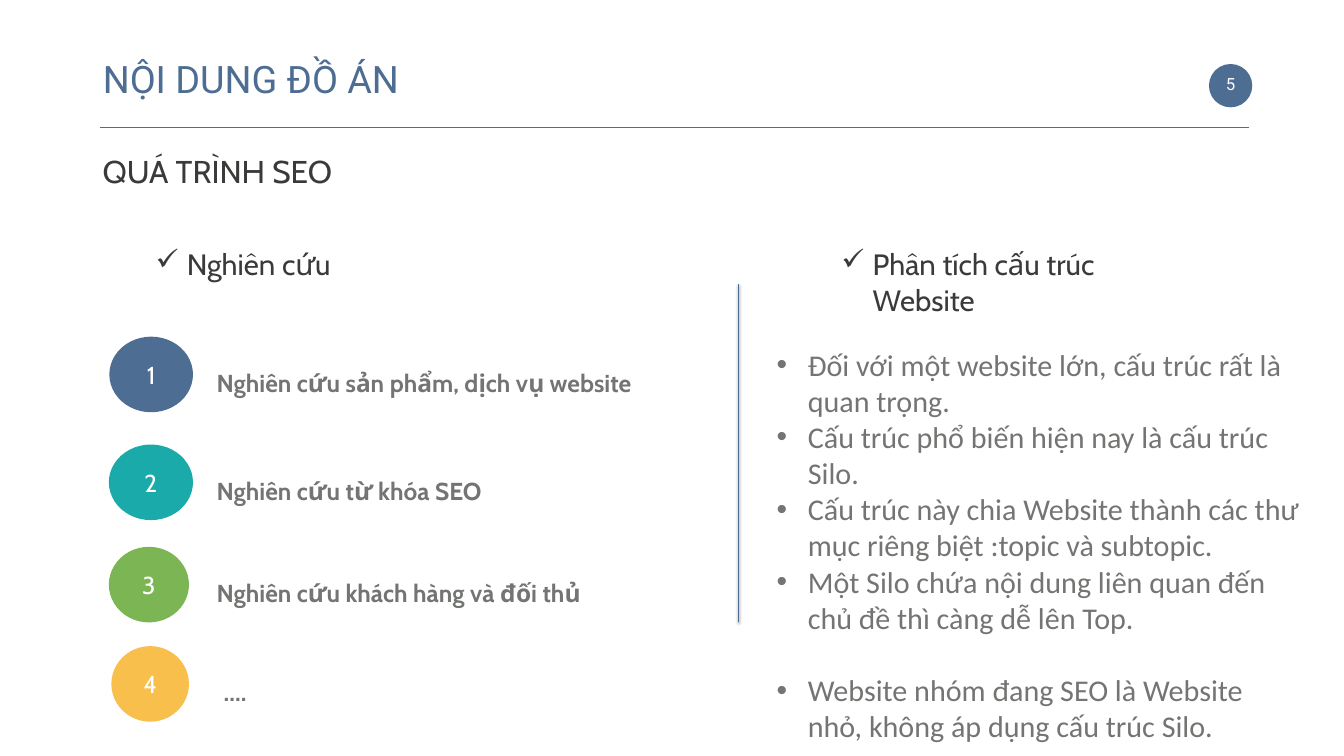
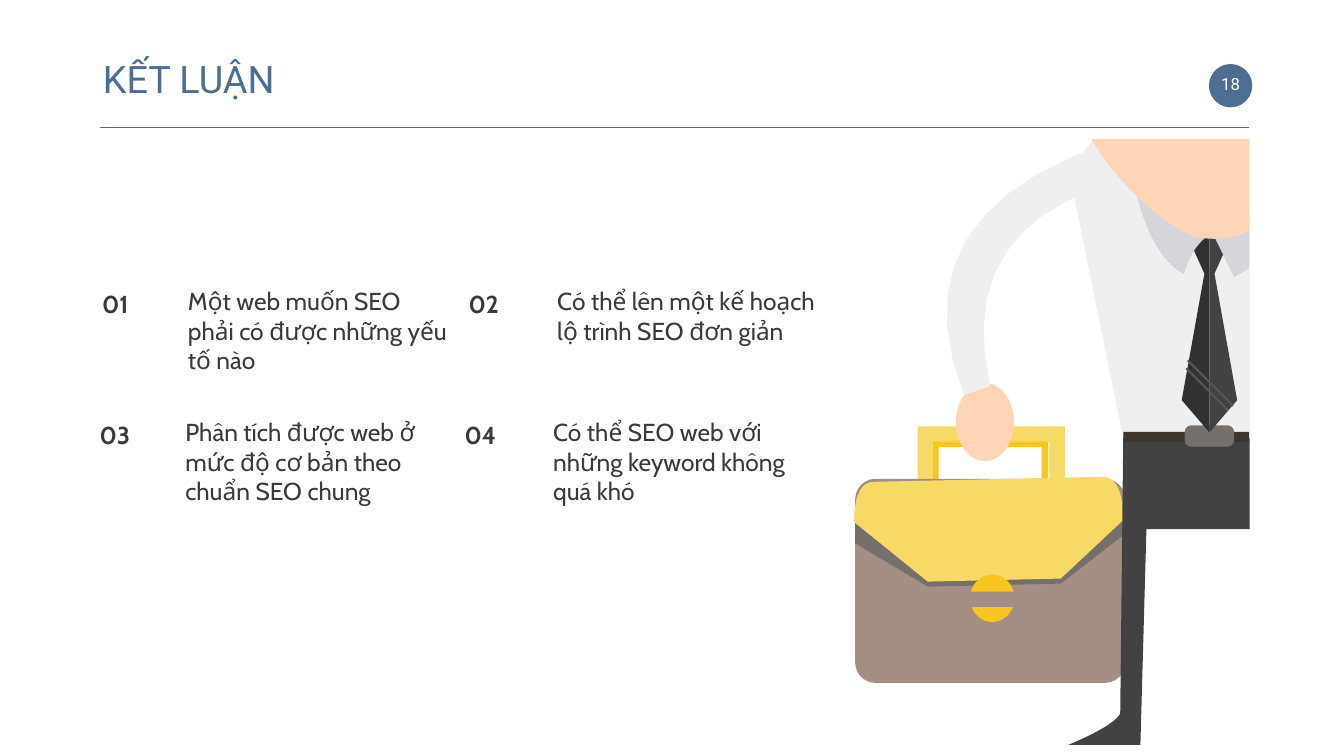
from lxml.etree import SubElement
from pptx import Presentation
from pptx.dml.color import RGBColor
from pptx.enum.shapes import MSO_CONNECTOR, MSO_SHAPE
from pptx.enum.text import MSO_ANCHOR, MSO_AUTO_SIZE, PP_ALIGN
from pptx.oxml.ns import qn
from pptx.util import Inches, Pt

BLUE = RGBColor.from_string("4D6D92")
TEAL = RGBColor.from_string("1BAAAA")
GREEN = RGBColor.from_string("7CB554")
AMBER = RGBColor.from_string("F8BF4D")
WHITE = RGBColor.from_string("FFFFFF")
INK = RGBColor.from_string("3A3A39")
GREY = RGBColor.from_string("737572")
LEATHER = RGBColor.from_string("A38F84")
METAL = RGBColor.from_string("76706C")
YELLOW = RGBColor.from_string("F7DA65")
GOLD = RGBColor.from_string("F9C620")
SKIN = RGBColor.from_string("FED6B6")
SHIRT = RGBColor.from_string("F0EFEF")
COLLAR = RGBColor.from_string("D3D5D8")
TROUSERS = RGBColor.from_string("424243")
BELT = RGBColor.from_string("3C362F")
TIE_SHADE = RGBColor.from_string("313131")
STRIPE = RGBColor.from_string("575555")

TITLE = {"name": "Roboto", "size": Pt(54), "bold": False}
NUMBER = {"name": "Roboto", "size": Pt(24)}
SUBTITLE = {"name": "Cabin", "size": Pt(45)}
HEADING = {"name": "Cabin", "size": Pt(42)}
LABEL = {"name": "Cabin", "size": Pt(35)}
STRONG = {**LABEL, "bold": True}
LIST = {"name": "Calibri", "size": Pt(43)}


def write(box, place, lines, style, color, bullet=None, align=PP_ALIGN.LEFT,
          anchor=MSO_ANCHOR.TOP, insets=(0.1, 0.05)):
    box.left, box.top, box.width, box.height = map(Inches, place)
    frame = box.text_frame
    side, edge = map(Inches, insets)
    layout = {"word_wrap": True, "auto_size": MSO_AUTO_SIZE.NONE,
              "vertical_anchor": anchor, "margin_left": side,
              "margin_right": side, "margin_top": edge, "margin_bottom": edge}
    for key, value in layout.items():
        setattr(frame, key, value)
    for index, line in enumerate(lines):
        para = frame.add_paragraph() if index else frame.paragraphs[0]
        para.alignment = align
        para.space_before = Pt(0)
        if bullet:
            props = para._p.get_or_add_pPr()
            props.set("marL", str(Inches(0.62)))
            props.set("indent", str(-Inches(0.62)))
            SubElement(props, qn("a:buChar")).set("char", bullet)
        span = para.add_run()
        span.text = line
        for key, value in style.items():
            setattr(span.font, key, value)
        span.font.color.rgb = color


def draw(page, color, geometry, preset=None, adjustment=None):
    if preset:
        shape = page.shapes.add_shape(preset, *map(Inches, geometry))
        if adjustment:
            shape.adjustments[0] = adjustment
    else:
        points = [geometry[0]]
        for x, y, *control in geometry[1:]:
            if control:
                x0, y0 = points[-1]
                cx, cy = control
                for t in (step / 10 for step in range(1, 10)):
                    u = 1 - t
                    points.append((u * u * x0 + 2 * u * t * cx + t * t * x,
                                   u * u * y0 + 2 * u * t * cy + t * t * y))
            points.append((x, y))
        points = [(Inches(x), Inches(y)) for x, y in points]
        builder = page.shapes.build_freeform(*points[0])
        builder.add_line_segments(points[1:], close=True)
        shape = builder.convert_to_shape()
    shape.shadow.inherit = False
    shape.fill.solid()
    shape.fill.fore_color.rgb = color
    shape.line.fill.background()
    return shape


deck = Presentation()
deck.slide_width, deck.slide_height = Inches(26.67), Inches(15)
process = deck.slides.add_slide(deck.slide_layouts[1])
conclusion = deck.slides.add_slide(deck.slide_layouts[5])

rules = [(process, (14.66, 5.64, 14.66, 12.35), BLUE, 2)]
for page, title, number in ((process, "NỘI DUNG ĐỒ ÁN", "5"),
                            (conclusion, "KẾT LUẬN", "18")):
    draw(page, BLUE, (23.99, 1.27, 0.86, 0.86), MSO_SHAPE.OVAL)
    rules.append((page, (1.98, 2.53, 24.79, 2.53), BLUE, 2.25))
    write(page.shapes.title, (1.94, 1.06, 18.9, 1.01), [title], TITLE, BLUE)
    write(page.shapes.add_textbox(0, 0, 0, 0), (23.91, 1.3, 1.02, 0.73), [number],
          NUMBER, WHITE, align=PP_ALIGN.CENTER, anchor=MSO_ANCHOR.MIDDLE,
          insets=(0.24, 0.12))

write(process.shapes.add_textbox(0, 0, 0, 0), (1.94, 2.96, 12.71, 0.86),
      ["QUÁ TRÌNH SEO"], SUBTITLE, INK)
for left, width, heading in ((2.99, 4.24, "Nghiên cứu"),
                             (16.6, 7.31, "Phân tích cấu trúc Website")):
    write(process.shapes.add_textbox(0, 0, 0, 0), (left, 4.84, width, 1.51),
          [heading], HEADING, INK, bullet="✓")

stages = [(2.17, 6.68, 1.66, 4.1, BLUE, "Nghiên cứu sản phẩm, dịch vụ website"),
          (2.16, 8.82, 1.67, 4.1, TEAL, "Nghiên cứu từ khóa SEO"),
          (2.16, 10.85, 1.59, 4.1, GREEN, "Nghiên cứu khách hàng và đối thủ"),
          (2.21, 12.82, 1.54, 4.24, AMBER, "....")]
for index, (left, top, width, label_left, color, label) in enumerate(stages, 1):
    place = (left, top, width, 1.5)
    disc = draw(process, color, place, MSO_SHAPE.OVAL)
    write(disc, place, [str(index)], LABEL, WHITE, align=PP_ALIGN.CENTER,
          anchor=MSO_ANCHOR.MIDDLE, insets=(0.2, 0.1))
    write(process.shapes.add_textbox(0, 0, 0, 0), (label_left, top + 0.52, 9.9, 0.79),
          [label], STRONG, GREY, insets=(0.2, 0.1))

silo = process.placeholders[1]
write(silo, (15.31, 6.82, 10.62, 8.1), [
    "Đối với một website lớn, cấu trúc rất là quan trọng.",
    "Cấu trúc phổ biến hiện nay là cấu trúc Silo.",
    "Cấu trúc này chia Website thành các thư mục riêng biệt :topic và subtopic.",
    "Một Silo chứa nội dung liên quan đến chủ đề thì càng dễ lên Top.",
    "Website nhóm đang SEO là Website nhỏ, không áp dụng cấu trúc Silo.",
], LIST, GREY, bullet="•")
silo.text_frame.paragraphs[-1].space_before = Pt(52)

ROUND, OVAL, FRAME, BAR = (MSO_SHAPE.ROUNDED_RECTANGLE, MSO_SHAPE.OVAL,
                           MSO_SHAPE.FRAME, MSO_SHAPE.RECTANGLE)
half_tie = [(0, 4.34), (0.2, 4.34), (0.37, 4.83), (0.1, 5.43), (0.55, 7.94), (0, 8.58)]
tie_left, tie_right = ([(24 + side * x, y) for x, y in half_tie] for side in (-1, 1))
briefcase = [
    (GOLD, (18.5, 8.74, 2.3, 1.6), FRAME, 0.08),
    (YELLOW, (18.21, 8.46, 2.92, 1.9), FRAME, 0.16),
    (LEATHER, (16.97, 9.5, 5.36, 4.05), ROUND, 0.1),
    (METAL, [(16.97, 10.3), (16.97, 10.78), (18.41, 11.64), (21.05, 11.58),
             (22.29, 10.62), (22.29, 10.3)]),
    (YELLOW, [(16.95, 10.36), (17.35, 9.56, 16.95, 9.56), (21.87, 9.46),
              (22.29, 10.32, 22.29, 9.46), (21.05, 11.48), (18.41, 11.54)]),
    (GOLD, (19.25, 11.4, 0.88, 0.94), OVAL),
    (LEATHER, (19.2, 11.74, 1, 0.3), BAR),
]
figure = [
    (SKIN, (18.97, 7.6, 1.15, 1.55), OVAL),
    (SHIRT, [(22.43, 3.54), (19.65, 7.66, 18.9, 4.4), (19.13, 7.84),
             (22.17, 2.78, 17.7, 4.2)]),
    (TROUSERS, [(21.2, 14.78), (22.23, 14.16, 22.1, 14.4), (22.29, 8.66),
                (24.8, 8.7), (24.8, 10.5), (22.75, 10.5), (22.63, 14.78)]),
    (SHIRT, [(21.7, 2.76), (24.8, 2.76), (24.8, 8.66), (22.29, 8.7), (21.21, 3.38)]),
    (BELT, (22.29, 8.57, 2.5, 0.2), BAR),
    (METAL, (23.51, 8.44, 0.98, 0.42), ROUND, 0.3),
    (TIE_SHADE, tie_left),
    (TROUSERS, tie_right),
    (COLLAR, [(22.41, 3.14), (23.49, 5.44, 22.7, 5), (23.97, 4.68, 23.65, 4.9)]),
    (COLLAR, [(24.79, 4.24), (24.79, 5.32), (24.49, 5.5), (24.09, 4.68)]),
    (SKIN, [(21.65, 2.76), (24.79, 2.76), (24.79, 4.58),
            (23.61, 4.66, 24.2, 4.85), (21.65, 2.76, 22.5, 4.1)]),
]
for part in briefcase + figure:
    draw(conclusion, *part)
rules.append((conclusion, (23.57, 7.15, 24.47, 8.05), STRIPE, 3))
rules.append((conclusion, (23.54, 7.31, 24.37, 8.14), STRIPE, 3))

for page, ends, color, weight in rules:
    rule = page.shapes.add_connector(MSO_CONNECTOR.STRAIGHT, *map(Inches, ends))
    rule.line.color.rgb = color
    rule.line.width = Pt(weight)
    effects = SubElement(rule._element.spPr, qn("a:effectLst"))
    if ends[0] == ends[2]:
        shadow = SubElement(effects, qn("a:outerShdw"), blurRad=str(Pt(3.1)),
                            dist=str(Pt(1.6)), dir="5400000", rotWithShape="0")
        black = SubElement(shadow, qn("a:srgbClr"), val="000000")
        SubElement(black, qn("a:alpha"), val="38000")

findings = [(1.93, 5.68, "Một web muốn SEO phải có được những yếu tố nào"),
            (9.2, 5.68, "Có thể lên một kế hoạch lộ trình SEO đơn giản"),
            (1.88, 8.28, "Phân tích được web ở mức độ cơ bản theo chuẩn SEO chung"),
            (9.12, 8.28, "Có thể SEO web với những keyword không quá khó")]
for index, (left, top, finding) in enumerate(findings, 1):
    write(conclusion.shapes.add_textbox(0, 0, 0, 0), (left, top, 1.9, 0.69),
          [f"{index:02}"], STRONG, INK, anchor=MSO_ANCHOR.MIDDLE)
    gap = 1.7 if index % 2 else 1.76
    write(conclusion.shapes.add_textbox(0, 0, 0, 0), (left + gap, top, 5.44, 1.82),
          [finding], LABEL, INK, insets=(0.1, 0))

deck.save("out.pptx")
